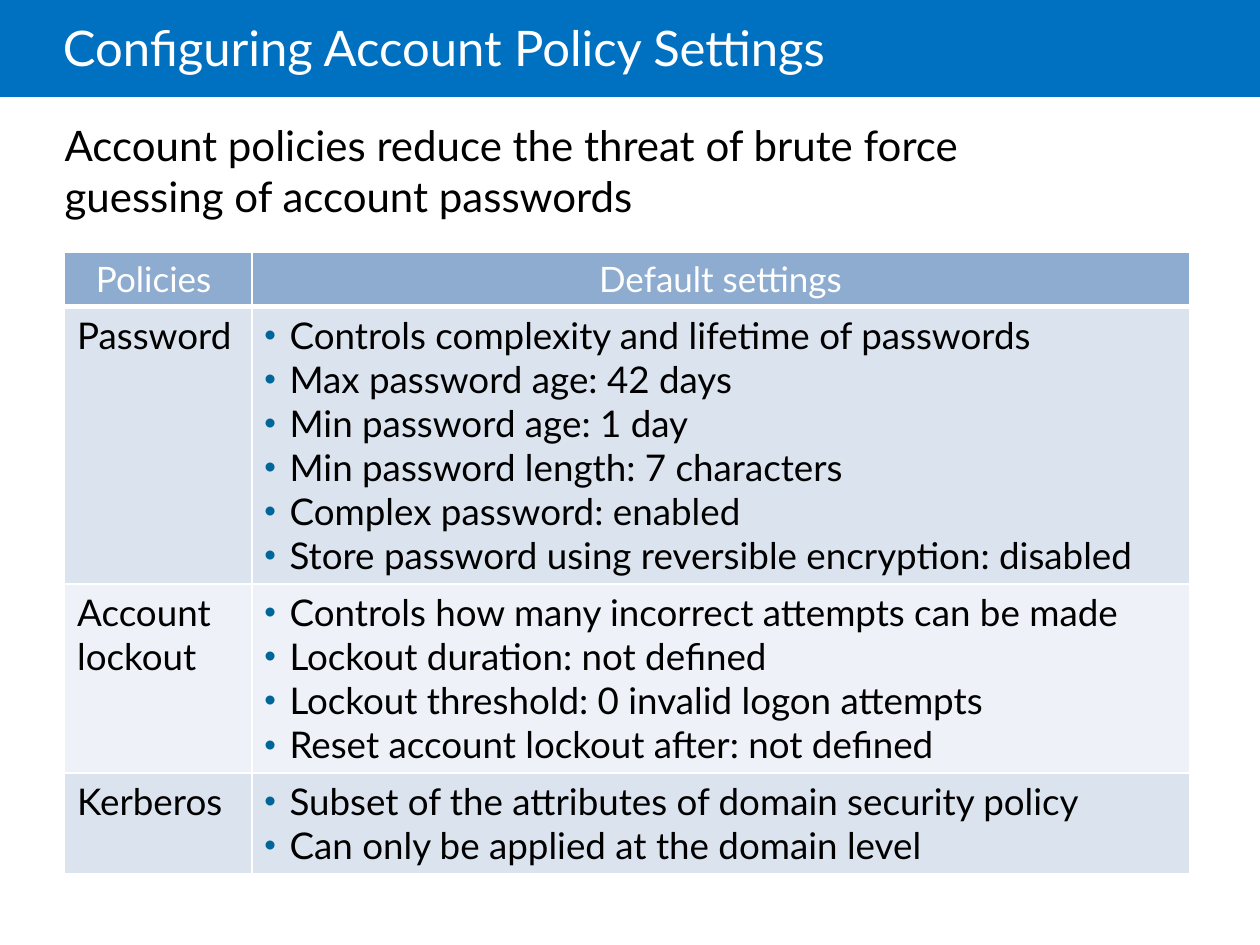
from lxml import etree
from pptx import Presentation
from pptx.dml.color import RGBColor
from pptx.enum import shapes, text
from pptx.oxml import ns
from pptx.util import Pt

FONT = "Lato"
WHITE = RGBColor(0xFF, 0xFF, 0xFF)
BLACK = RGBColor(0, 0, 0)
BANNER = RGBColor(0x00, 0x70, 0xC0)
HEADER = RGBColor(0x8D, 0xAC, 0xD0)
BANDS = [RGBColor(0xDB, 0xE3, 0xEE), RGBColor(0xEE, 0xF1, 0xF7)]
BULLET = RGBColor(0x00, 0x66, 0x99)

TITLE = "Configuring Account Policy Settings"
INTRO = ("Account policies reduce the threat of brute force "
         "guessing of account passwords")
HEADINGS = ["Policies ", "Default settings"]
POLICIES = [
    ("Password", [
        "Controls complexity and lifetime of passwords",
        "Max password age: 42 days",
        "Min password age: 1 day",
        "Min password length: 7 characters",
        "Complex password: enabled",
        "Store password using reversible encryption: disabled",
    ]),
    ("Account lockout", [
        "Controls how many incorrect attempts can be made",
        "Lockout duration: not defined",
        "Lockout threshold: 0 invalid logon attempts",
        "Reset account lockout after: not defined",
    ]),
    ("Kerberos", [
        "Subset of the attributes of domain security policy",
        "Can only be applied at the domain level",
    ]),
]

SLIDE_WIDTH, SLIDE_HEIGHT = 720, 540
TABLE_LEFT, TABLE_TOP = 36.9, 144
COLUMN_WIDTHS = [107, 535.7]
HEADER_SIZE, BODY_SIZE = 20, 21
LINE_FACTOR, CELL_PADDING = 1.2, 7.2


def row_height(lines, size):
    return Pt(lines * size * LINE_FACTOR + CELL_PADDING)


def add_run(paragraph, content, size, color):
    run = paragraph.add_run()
    run.text = content
    run.font.name = FONT
    run.font.size = Pt(size)
    run.font.color.rgb = color


def add_bullet(paragraph):
    properties = paragraph._p.get_or_add_pPr()
    properties.set("marL", str(Pt(14.4)))
    properties.set("indent", str(-Pt(14.4)))
    color = etree.SubElement(properties, ns.qn("a:buClr"))
    etree.SubElement(color, ns.qn("a:srgbClr"), val=str(BULLET))
    etree.SubElement(properties, ns.qn("a:buSzPct"), val="90000")
    etree.SubElement(properties, ns.qn("a:buFont"), typeface="Arial")
    etree.SubElement(properties, ns.qn("a:buChar"), char="•")


def add_borders(cell, bottom=1):
    properties = cell._tc.get_or_add_tcPr()
    for side, width in (("L", 1), ("R", 1), ("T", 1), ("B", bottom)):
        line = etree.SubElement(properties, ns.qn(f"a:ln{side}"), w=str(Pt(width)))
        fill = etree.SubElement(line, ns.qn("a:solidFill"))
        etree.SubElement(fill, ns.qn("a:srgbClr"), val=str(WHITE))


def fill_cell(cell, lines, size, color, background, bottom=1, centred=False, bulleted=False):
    add_borders(cell, bottom)
    cell.fill.solid()
    cell.fill.fore_color.rgb = background
    frame = cell.text_frame
    for index, line in enumerate(lines):
        paragraph = frame.add_paragraph() if index else frame.paragraphs[0]
        if centred:
            paragraph.alignment = text.PP_ALIGN.CENTER
        if bulleted:
            add_bullet(paragraph)
        add_run(paragraph, line, size, color)


def add_banner(slide):
    banner = slide.shapes.add_shape(
        shapes.MSO_SHAPE.RECTANGLE, 0, 0, Pt(SLIDE_WIDTH), Pt(55.4))
    banner.shadow.inherit = False
    banner.fill.solid()
    banner.fill.fore_color.rgb = BANNER
    banner.line.fill.background()

    title = slide.shapes.add_textbox(Pt(36), 0, Pt(612), Pt(58.3))
    frame = title.text_frame
    frame.word_wrap = True
    frame.margin_left = 0
    frame.vertical_anchor = text.MSO_ANCHOR.MIDDLE
    frame.paragraphs[0].line_spacing = 0.85
    add_run(frame.paragraphs[0], TITLE, 28, WHITE)


def add_intro(slide):
    intro = slide.shapes.add_shape(
        shapes.MSO_SHAPE.ROUNDED_RECTANGLE, Pt(28.8), Pt(65.5), Pt(582.5), Pt(63.4))
    intro.adjustments[0] = 0.056
    intro.shadow.inherit = False
    intro.fill.background()
    intro.line.fill.background()
    frame = intro.text_frame
    frame.word_wrap = True
    frame.vertical_anchor = text.MSO_ANCHOR.MIDDLE
    frame.paragraphs[0].alignment = text.PP_ALIGN.LEFT
    add_run(frame.paragraphs[0], INTRO, 24, BLACK)


def add_policy_table(slide):
    heights = [row_height(1, HEADER_SIZE)]
    heights += [row_height(len(settings), BODY_SIZE) for _, settings in POLICIES]
    table = slide.shapes.add_table(
        len(heights), len(COLUMN_WIDTHS), Pt(TABLE_LEFT), Pt(TABLE_TOP),
        Pt(sum(COLUMN_WIDTHS)), sum(heights)).table
    for column, width in zip(table.columns, COLUMN_WIDTHS):
        column.width = Pt(width)
    for row, height in zip(table.rows, heights):
        row.height = height

    for column, heading in enumerate(HEADINGS):
        fill_cell(table.cell(0, column), [heading], HEADER_SIZE, WHITE, HEADER,
                  bottom=3, centred=True)
        for run in table.cell(0, column).text_frame.paragraphs[0].runs:
            run.font.bold = False
    for row, (policy, settings) in enumerate(POLICIES, start=1):
        band = BANDS[(row - 1) % len(BANDS)]
        fill_cell(table.cell(row, 0), [policy], BODY_SIZE, BLACK, band)
        fill_cell(table.cell(row, 1), settings, BODY_SIZE, BLACK, band, bulleted=True)


def main():
    presentation = Presentation()
    presentation.slide_width = Pt(SLIDE_WIDTH)
    presentation.slide_height = Pt(SLIDE_HEIGHT)
    slide = presentation.slides.add_slide(presentation.slide_layouts[6])
    add_banner(slide)
    add_intro(slide)
    add_policy_table(slide)
    presentation.save("out.pptx")


if __name__ == "__main__":
    main()
